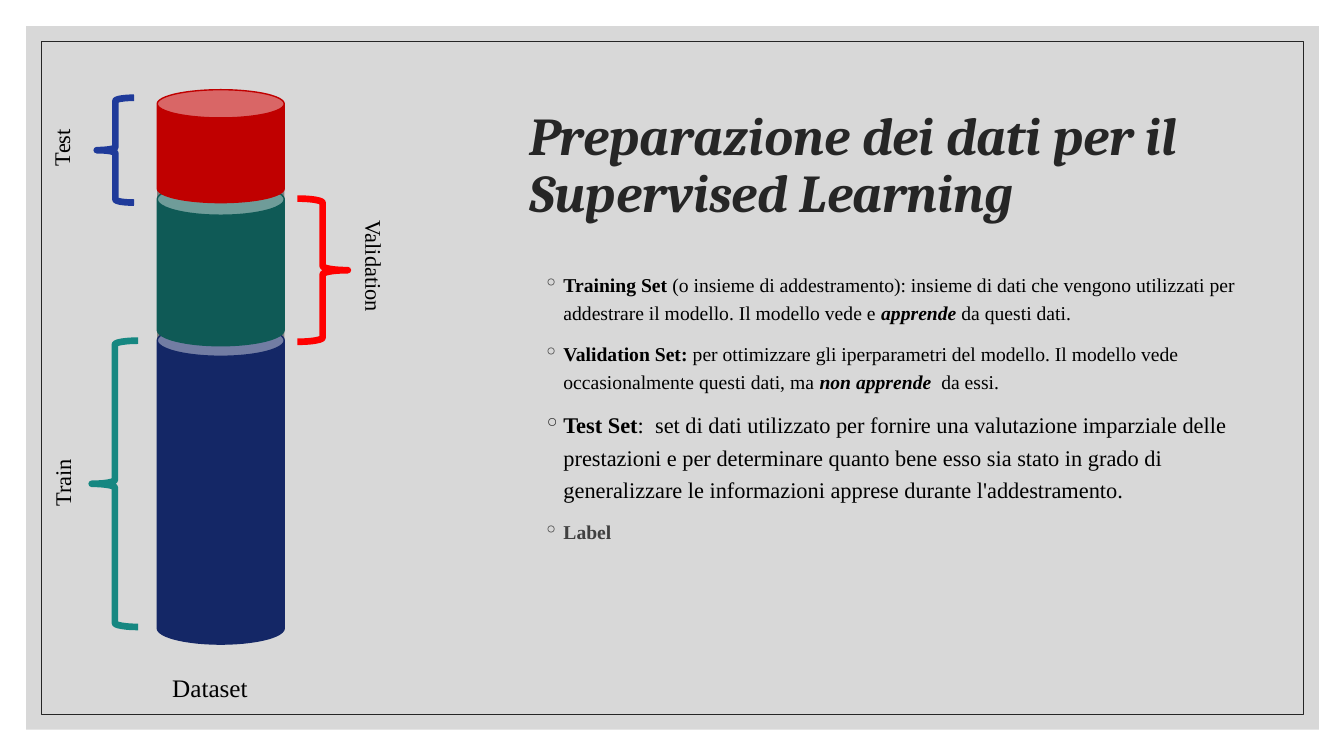
from dataclasses import dataclass

from lxml import etree
from pptx import Presentation
from pptx.dml.color import RGBColor
from pptx.enum.shapes import MSO_SHAPE
from pptx.enum.text import MSO_ANCHOR, MSO_AUTO_SIZE
from pptx.oxml.ns import qn
from pptx.util import Emu, Pt

RECT, CAN, BRACE = MSO_SHAPE.RECTANGLE, MSO_SHAPE.CAN, MSO_SHAPE.LEFT_BRACE
TOP, MIDDLE = MSO_ANCHOR.TOP, MSO_ANCHOR.MIDDLE
NO_FIT, GROW = MSO_AUTO_SIZE.NONE, MSO_AUTO_SIZE.SHAPE_TO_FIT_TEXT
EMU_PER_PX = 9144


@dataclass(frozen=True)
class Theme:
    panel: str = "BFBFBF"
    ink: str = "262626"
    text: str = "000000"
    muted: str = "404040"
    base: str = "808080"
    train: str = "142766"
    validation: str = "0F5A56"
    test: str = "C00000"
    train_brace: str = "168781"
    validation_brace: str = "FF0000"
    test_brace: str = "1F3A9A"
    title_font: str = "Cambria"
    body_font: str = "Times New Roman"
    title_size: int = 38
    caption_size: int = 18
    large_size: int = 16
    body_size: int = 14
    brace_width: float = 4.75


def px(n):
    return Emu(n * EMU_PER_PX)


def add_run(p, text, font, size, color, bold=False, italic=False):
    r = p.add_run()
    r.text = text
    r.font.name, r.font.size = font, Pt(size)
    r.font.bold, r.font.italic = bold, italic
    r.font.color.rgb = RGBColor.from_string(color)


class Deck:
    def __init__(self, theme):
        self.theme = theme
        self.prs = Presentation()
        self.prs.slide_width, self.prs.slide_height = px(1333), px(750)
        self.s = self.prs.slides.add_slide(self.prs.slide_layouts[6])

    def shape(self, kind, box, fill=None, line=None, width=1, alpha=None, rotation=0):
        sp = self.s.shapes.add_shape(kind, *map(px, box))
        sp.shadow.inherit = False
        sp.rotation = rotation
        if fill:
            sp.fill.solid()
            sp.fill.fore_color.rgb = RGBColor.from_string(fill)
        else:
            sp.fill.background()
        if alpha:
            color = sp.fill._xPr.find(qn("a:solidFill"))[0]
            etree.SubElement(color, qn("a:alpha"), val=str(alpha * 1000))
        if line:
            sp.line.color.rgb = RGBColor.from_string(line)
            sp.line.width = Pt(width)
        else:
            sp.line.fill.background()

    def brace(self, box, color, rotation=0):
        self.shape(BRACE, box, line=color, width=self.theme.brace_width, rotation=rotation)

    def text_frame(self, box, anchor=TOP, fit=NO_FIT, rotation=0):
        sp = self.s.shapes.add_textbox(*map(px, box))
        sp.rotation = rotation
        tf = sp.text_frame
        tf.word_wrap, tf.auto_size, tf.vertical_anchor = True, fit, anchor
        return tf

    def title(self, box, text):
        t = self.theme
        p = self.text_frame(box, MIDDLE).paragraphs[0]
        p.line_spacing = 0.9
        add_run(p, text, t.title_font, t.title_size, t.ink, bold=True, italic=True)

    def label(self, box, text, size, rotation=0):
        p = self.text_frame(box, fit=GROW, rotation=rotation).paragraphs[0]
        add_run(p, text, self.theme.body_font, size, self.theme.text)

    def bullets(self, box, items):
        tf = self.text_frame(box)
        for i, (size, color, runs) in enumerate(items):
            p = tf.add_paragraph() if i else tf.paragraphs[0]
            pPr = p._p.get_or_add_pPr()
            pPr.set("marL", str(px(20)))
            pPr.set("indent", str(-px(20)))
            bu = etree.SubElement(pPr, qn("a:buClr"))
            etree.SubElement(bu, qn("a:srgbClr"), val=self.theme.ink)
            etree.SubElement(pPr, qn("a:buChar"), char="◦")
            p.line_spacing = 1.2
            p.space_before = Pt(9 if i else 0)
            for text, style in runs:
                add_run(p, text, self.theme.body_font, size, color,
                        bold="b" in style, italic="i" in style)


def main():
    t = Theme()
    deck = Deck(t)
    deck.shape(RECT, (26, 26, 1282, 698), fill=t.panel, alpha=60)
    deck.shape(RECT, (41, 41, 1252, 668), line=t.ink, width=0.5)

    deck.title((515, 70, 737, 191), "Preparazione dei dati per il Supervised Learning")
    deck.bullets((529, 261, 723, 399), [
        (t.body_size, t.text, [
            ("Training Set ", "b"),
            ("(o insieme di addestramento): insieme di dati che vengono "
             "utilizzati per addestrare il modello. Il modello vede e ", ""),
            ("apprende", "bi"),
            (" da questi dati.", "")]),
        (t.body_size, t.text, [
            ("Validation Set: ", "b"),
            ("per ottimizzare gli iperparametri del modello. Il modello vede "
             "occasionalmente questi dati, ma ", ""),
            ("non apprende  ", "bi"),
            ("da essi.", "")]),
        (t.large_size, t.text, [
            ("Test Set", "b"),
            (":  set di dati utilizzato per fornire una valutazione imparziale "
             "delle prestazioni e per determinare quanto bene esso sia stato in "
             "grado di generalizzare le informazioni apprese durante "
             "l'addestramento.", "")]),
        (t.body_size, t.muted, [("Label", "b")]),
    ])

    for top, height, fill, line in [
        (89, 550, t.base, None),
        (322, 317, t.train, t.train),
        (182, 161, t.validation, t.validation),
        (89, 112, t.test, t.test),
    ]:
        deck.shape(CAN, (156, top, 126, height), fill=fill, line=line)
    deck.label((161, 662, 120, 40), "Dataset", t.caption_size)

    for text, label_box, label_turn, brace_box, brace_turn, color in [
        ("Train", (21, 453, 82, 37), 270, (91, 338, 46, 284), 0, t.train_brace),
        ("Validation", (312, 249, 118, 37), 90, (295, 197, 50, 142), 180, t.validation_brace),
        ("Test", (20, 115, 82, 37), 270, (96, 97, 37, 104), 0, t.test_brace),
    ]:
        deck.brace(brace_box, color, brace_turn)
        deck.label(label_box, text, t.large_size, label_turn)

    deck.prs.save("out.pptx")


if __name__ == "__main__":
    main()
